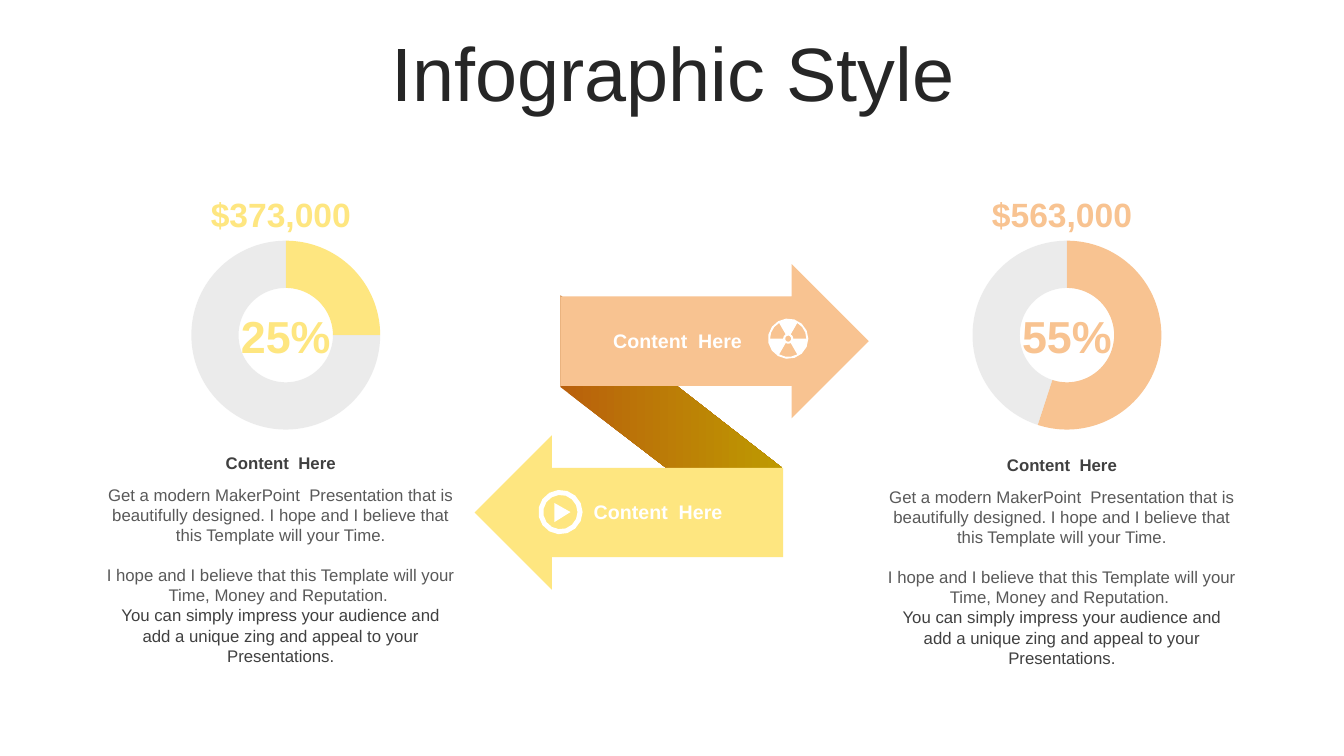
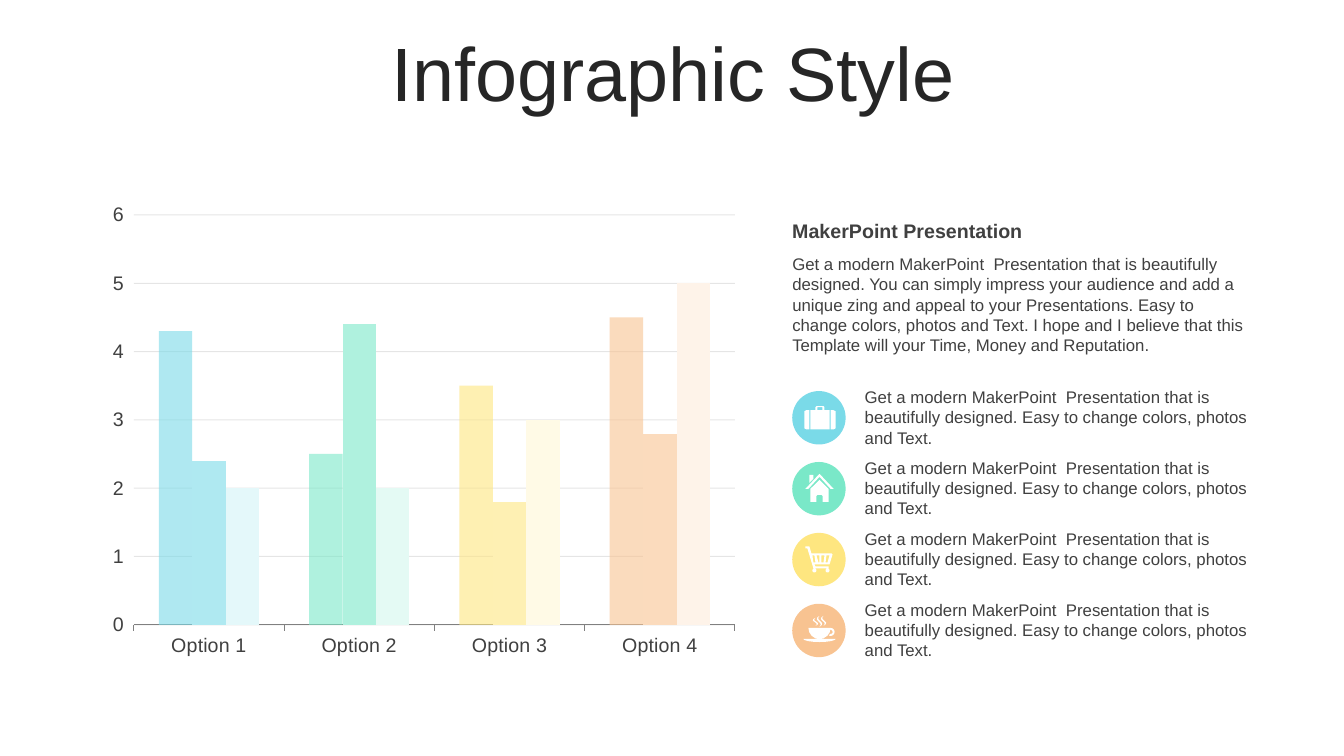
import math

import pptx
import pptx.chart.data
import pptx.dml.color
import pptx.enum.chart
import pptx.enum.dml
import pptx.enum.shapes
import pptx.enum.text
import pptx.oxml.ns
import pptx.util
from lxml import etree

Inches = pptx.util.Inches
Pt = pptx.util.Pt
RGBColor = pptx.dml.color.RGBColor
ALIGN = pptx.enum.text.PP_ALIGN
ANCHOR = pptx.enum.text.MSO_ANCHOR
SHAPE = pptx.enum.shapes.MSO_SHAPE
CHART = pptx.enum.chart.XL_CHART_TYPE
TICK = pptx.enum.chart.XL_TICK_MARK

FONT = "Arial"
INK = RGBColor(0x26, 0x26, 0x26)
DARK = RGBColor(0x40, 0x40, 0x40)
SOFT = RGBColor(0x59, 0x59, 0x59)
GRAY = RGBColor(0x80, 0x80, 0x80)
PALE = RGBColor(0xD9, 0xD9, 0xD9)
WHITE = RGBColor(0xFF, 0xFF, 0xFF)
BLUE = RGBColor(0x7A, 0xDA, 0xE8)
MINT = RGBColor(0x7A, 0xE8, 0xC8)
YELLOW = RGBColor(0xFE, 0xE6, 0x80)
PEACH = RGBColor(0xF8, 0xC3, 0x91)
RUST = RGBColor(0xB9, 0x60, 0x0C)
GOLD = RGBColor(0xBE, 0x9A, 0x01)
HUES = [BLUE, MINT, YELLOW, PEACH]

LABEL = "Content  Here"
LEAD = "Get a modern MakerPoint  Presentation that is beautifully designed. "
STORY = [
    LEAD + "I hope and I believe that this Template will your Time.",
    "I hope and I believe that this Template will your Time, Money and Reputation. ",
    "You can simply impress your audience and add a unique zing and appeal to your Presentations.",
]
INTRO = (
    LEAD + "You can simply impress your audience and add a unique zing and appeal to your "
    "Presentations. Easy to change colors, photos and Text. "
    "I hope and I believe that this Template will your Time, Money and Reputation."
)
POINT = LEAD + "Easy to change colors, photos and Text."
SIDE = (0, 0.1)


def text(slide, box, words, size=12, color=DARK, bold=False, align=ALIGN.LEFT,
         anchor=ANCHOR.TOP, inset=(0.1, 0.1), spacing=None):
    frame = slide.shapes.add_textbox(*map(Inches, box)).text_frame
    frame.word_wrap = True
    frame.vertical_anchor = anchor
    frame.margin_left, frame.margin_right = map(Inches, inset)
    frame.text = words if isinstance(words, str) else "\n".join(words)
    for part in frame.paragraphs:
        part.alignment = align
        part.line_spacing = spacing
        font = part.runs[0].font
        font.name, font.size, font.bold = FONT, Pt(size), bold
        font.color.rgb = color
    return frame


def paint(shape, color):
    shape.shadow.inherit = False
    shape.line.fill.background()
    shape.fill.solid()
    shape.fill.fore_color.rgb = color
    return shape


def preset(slide, kind, box, color):
    return paint(slide.shapes.add_shape(kind, *map(Inches, box)), color)


def outline(slide, loops, color=WHITE):
    loops = [[(x * 1000, y * 1000) for x, y in loop] for loop in loops]
    pen = slide.shapes.build_freeform(*loops[0][0], scale=Inches(1) / 1000)
    for loop in loops:
        if loop is not loops[0]:
            pen.move_to(*loop[0])
        pen.add_line_segments(loop[1:], close=True)
    return paint(pen.convert_to_shape(), color)


def arc(x, y, wide, high, start, end):
    count = math.ceil(abs(end - start) / 24)
    turns = [math.radians(start + (end - start) * i / count) for i in range(count + 1)]
    return [(x + wide * math.cos(t), y + high * math.sin(t)) for t in turns]


def disc(x, y, size):
    return arc(x, y, size, size, 0, 360)[:-1]


def band(x, y, outer, inner, start, end):
    return arc(x, y, outer, outer, start, end) + arc(x, y, inner, inner, end, start)


def rect(left, top, right, bottom):
    return [(left, top), (right, top), (right, bottom), (left, bottom)]


def wisp(x, top, high):
    sides = [[], []]
    for i in range(7):
        t = i / 6
        mid = x - 0.02 * math.sin(2 * math.pi * t)
        half = 0.01 * math.sin(math.pi * t)
        sides[0].append((mid - half, top + high * t))
        sides[1].append((mid + half, top + high * t))
    return sides[0] + sides[1][-2:0:-1]


def atom(slide):
    x, y = 7.82, 3.36
    blades = [band(x, y, 0.18, 0.05, a, a + 60) for a in (60, 180, 300)]
    outline(slide, [disc(x, y, 0.2), disc(x, y, 0.03), *blades])


def play(slide):
    x, y = 5.56, 5.08
    head = [(5.5, 4.99), (5.66, 5.08), (5.5, 5.18)]
    outline(slide, [disc(x, y, 0.22), disc(x, y, 0.17), head])


def case(slide):
    body = [(8.04, 4.07), (8.09, 4.07), (8.09, 4.04), (8.1, 4.03), (8.17, 4.03),
            (8.18, 4.04), (8.18, 4.07), (8.23, 4.07), (8.23, 4.26), (8.04, 4.26)]
    left = [(8.03, 4.07), (8.03, 4.26), (8, 4.26), (7.98, 4.25), (7.98, 4.08), (8, 4.07)]
    right = [(16.27 - x, y) for x, y in left]
    outline(slide, [body, rect(8.11, 4.04, 8.16, 4.07), left, right])


def house(slide):
    walls = [(8.13, 4.76), (8.22, 4.85), (8.22, 4.98), (8.16, 4.98), (8.16, 4.92),
             (8.15, 4.91), (8.11, 4.91), (8.1, 4.92), (8.1, 4.98), (8.04, 4.98), (8.04, 4.85)]
    roof = [(8.13, 4.7), (8.27, 4.85), (8.24, 4.85), (8.13, 4.73), (8.02, 4.85), (7.99, 4.85)]
    flue = [(8.03, 4.71), (8.07, 4.71), (8.07, 4.75), (8.03, 4.79)]
    outline(slide, [walls, roof, flue])


def cart(slide):
    body = [(7.99, 5.42), (8.03, 5.42), (8.05, 5.49), (8.25, 5.49), (8.26, 5.5),
            (8.23, 5.6), (8.08, 5.6), (8.09, 5.62), (8.22, 5.62), (8.22, 5.64),
            (8.07, 5.64), (8.01, 5.44), (7.99, 5.44)]
    slots = [[(a, 5.51), (b, 5.51), (c, 5.58), (d, 5.58)] for a, b, c, d in (
        (8.06, 8.08, 8.09, 8.07), (8.1, 8.13, 8.13, 8.12),
        (8.15, 8.18, 8.17, 8.15), (8.2, 8.23, 8.21, 8.19))]
    wheels = [disc(x, 5.66, 0.02) for x in (8.08, 8.21)]
    outline(slide, [body, *slots, *wheels])


def cup(slide):
    outline(slide, [
        arc(8.13, 6.23, 0.11, 0.11, 0, 180),
        band(8.24, 6.27, 0.04, 0.02, -90, 110),
        arc(8.13, 6.34, 0.16, 0.03, 0, 180),
        wisp(8.09, 6.13, 0.08), wisp(8.13, 6.11, 0.11), wisp(8.17, 6.11, 0.1),
    ])


def chart(slide, kind, box, names, rows):
    data = pptx.chart.data.CategoryChartData()
    data.categories = names
    for i, row in enumerate(rows, 1):
        data.add_series(f"Series {i}", row)
    graph = slide.shapes.add_chart(kind, *map(Inches, box), data).chart
    graph.has_title = graph.has_legend = False
    graph.font.name, graph.font.size = FONT, Pt(14)
    graph.font.color.rgb = DARK
    return graph


def tint(color, share):
    return RGBColor(*(round(255 - (255 - part) * share) for part in color))


def dye(series, colors):
    for i, color in enumerate(colors):
        look = series.points[i].format
        look.fill.solid()
        look.fill.fore_color.rgb = color
        look.line.fill.background()


def fade(graph, query, percent):
    for color in graph.element.xpath(query + "//a:srgbClr"):
        alpha = etree.SubElement(color, pptx.oxml.ns.qn("a:alpha"))
        alpha.set("val", str(percent * 1000))


def ring(slide, left, share, color):
    graph = chart(slide, CHART.DOUGHNUT, (left, 2.25, 2.19, 2.15), ["1", "2"], [[share, 100 - share]])
    dye(graph.plots[0].series[0], [color, PALE])
    fade(graph, ".//c:dPt[2]", 50)
    graph.element.xpath(".//c:holeSize")[0].set("val", "80")


def panel(slide, left, top, share, money, color):
    mid = dict(align=ALIGN.CENTER, anchor=ANCHOR.MIDDLE, bold=True)
    ring(slide, left + 0.69, share, color)
    text(slide, (left + 1.16, 3.01, 1.25, 0.64), f"{share}%", size=32, color=color, **mid)
    text(slide, (left + 0.44, 1.87, 2.69, 0.5), money, size=24, color=color, inset=SIDE, **mid)
    text(slide, (left, top, 3.57, 0.3), LABEL, inset=SIDE, **mid)
    story = text(slide, (left, top + 0.32, 3.57, 1.72), STORY, color=SOFT,
                 align=ALIGN.CENTER, inset=SIDE)
    story.paragraphs[1].space_before = Pt(14)
    story.paragraphs[2].runs[0].font.color.rgb = DARK


def arrow(slide, kind, left, top, color):
    shape = preset(slide, kind, (left, top, 3.06, 1.53), color)
    shape.adjustments[0], shape.adjustments[1] = 0.58, 0.5


def ribbon(slide):
    fold = outline(slide, [[(5.56, 2.93), (7.77, 4.65), (7.77, 5.53), (5.56, 3.84)]])
    fold.fill.gradient()
    fold.fill.gradient_angle = 0
    for stop, color in zip(fold.fill.gradient_stops, (RUST, GOLD)):
        stop.color.rgb = color
    arrow(slide, SHAPE.RIGHT_ARROW, 5.56, 2.62, PEACH)
    arrow(slide, SHAPE.LEFT_ARROW, 4.71, 4.32, YELLOW)
    for left, top, align in ((5.74, 3.21, ALIGN.RIGHT), (5.89, 4.91, ALIGN.LEFT)):
        text(slide, (left, top, 1.72, 0.34), LABEL, size=14, color=WHITE, bold=True,
             align=align, anchor=ANCHOR.MIDDLE, inset=SIDE)
    atom(slide)
    play(slide)


def bars(slide):
    rows = [[4.3, 2.5, 3.5, 4.5], [2.4, 4.4, 1.8, 2.8], [2, 2, 3, 5]]
    names = [f"Option {i}" for i in range(1, 5)]
    graph = chart(slide, CHART.COLUMN_CLUSTERED, (0.99, 1.93, 6.43, 4.68), names, rows)
    plot = graph.plots[0]
    plot.gap_width, plot.overlap, plot.vary_by_categories = 150, 0, False
    for series, share in zip(plot.series, (1, 0.6, 0.2)):
        dye(series, [tint(hue, share) for hue in HUES])
    base, scale = graph.category_axis, graph.value_axis
    base.major_tick_mark = scale.major_tick_mark = TICK.OUTSIDE
    scale.minimum_scale, scale.maximum_scale, scale.major_unit = 0, 6, 1
    scale.format.line.fill.background()
    for line in (base.format.line, scale.major_gridlines.format.line):
        line.color.rgb = GRAY
        line.width = Pt(0.75)
    fade(graph, ".//c:ser[1]", 60)
    fade(graph, ".//c:majorGridlines", 20)


def points(slide):
    text(slide, (7.86, 2.12, 4.47, 0.34), "MakerPoint Presentation", size=14, bold=True, inset=(0, 0))
    text(slide, (7.86, 2.47, 4.49, 1.11), INTRO, inset=(0, 0))
    for i, (hue, icon) in enumerate(zip(HUES, (case, house, cart, cup))):
        top = 3.88 + 2.11 / 3 * i
        preset(slide, SHAPE.OVAL, (7.86, top, 0.53, 0.53), hue)
        text(slide, (8.48, top - 0.09, 4.05, 0.71), POINT)
        icon(slide)


def page(deck):
    slide = deck.slides.add_slide(deck.slide_layouts[6])
    text(slide, (0.35, 0.37, 12.66, 0.79), "Infographic Style", size=54, color=INK,
         align=ALIGN.CENTER, anchor=ANCHOR.MIDDLE, spacing=0.9)
    return slide


def main():
    deck = pptx.Presentation()
    deck.slide_width, deck.slide_height = Inches(40 / 3), Inches(7.5)
    first = page(deck)
    ribbon(first)
    panel(first, 1.05, 4.44, 25, "$373,000", YELLOW)
    panel(first, 8.8, 4.46, 55, "$563,000", PEACH)
    second = page(deck)
    bars(second)
    points(second)
    deck.save("out.pptx")


if __name__ == "__main__":
    main()
